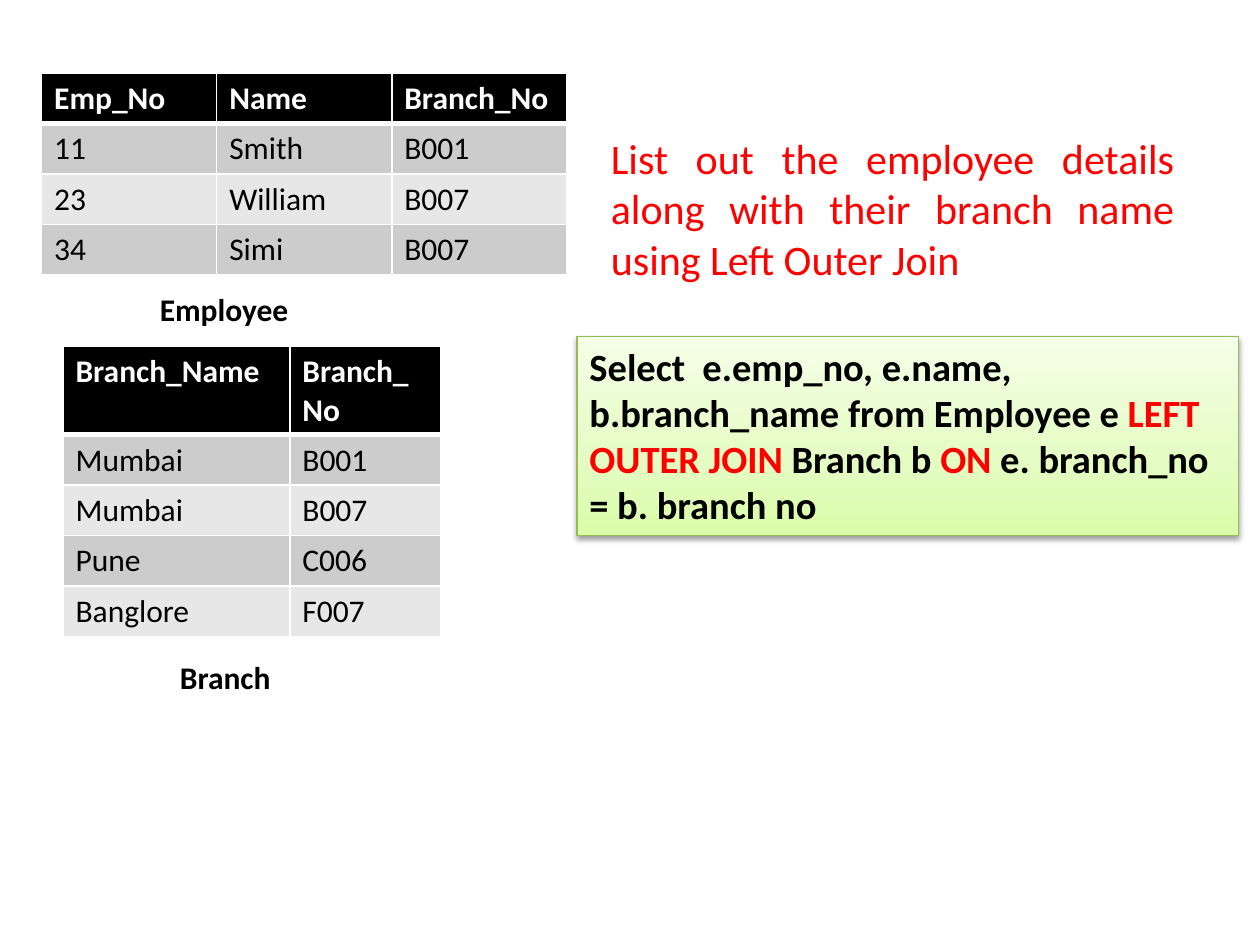
from lxml import etree
from copy import deepcopy
from pptx import Presentation
from pptx.dml.color import RGBColor
from pptx.enum import shapes, text
from pptx.oxml import ns
from pptx.util import Inches, Pt

BLACK = RGBColor(0, 0, 0)
WHITE = RGBColor(255, 255, 255)
RED = RGBColor(255, 0, 0)
BANDS = (RGBColor(0xCC, 0xCC, 0xCC), RGBColor(0xE7, 0xE7, 0xE7))
GREEN_LINE = RGBColor(0x98, 0xB9, 0x55)
GREEN_STOPS = [
    (0, RGBColor(0xDA, 0xFD, 0xA7)),
    (0.35, RGBColor(0xE4, 0xFC, 0xC2)),
    (1, RGBColor(0xF5, 0xFF, 0xE7)),
]
ROW_HEIGHT = 0.4

# Content
TABLES = [
    {"at": (0.33, 0.58), "columns": (1.39, 1.39, 1.39), "header_height": 0.4,
     "rows": [("Emp_No", "Name", "Branch_No"),
              ("11", "Smith", "B001"),
              ("23", "William", "B007"),
              ("34", "Simi", "B007")]},
    {"at": (0.5, 2.75), "columns": (1.8, 1.2), "header_height": 0.7,
     "rows": [("Branch_Name", "Branch_No"),
              ("Mumbai", "B001"),
              ("Mumbai", "B007"),
              ("Pune", "C006"),
              ("Banglore", "F007")]},
]
CAPTIONS = [
    ("Employee", (1.17, 2.25, 1.83, 0.4)),
    ("Branch", (1.33, 5.17, 1.83, 0.4)),
]
TASK = "List out the employee details along with their branch name using Left Outer Join"
QUERY = [
    ("Select  e.emp_no, e.name, b.branch_name from Employee e ", BLACK),
    ("LEFT OUTER JOIN", RED),
    (" Branch b ", BLACK),
    ("ON", RED),
    (" e. branch_no = b. branch no", BLACK),
]


def add_run(paragraph, words, color, size=18, bold=False):
    run = paragraph.add_run()
    run.text = words
    run.font.color.rgb = color
    font_format = {"name": "Calibri", "size": Pt(size), "bold": bold}
    for name, value in font_format.items():
        setattr(run.font, name, value)


def add_textbox(slide, box):
    frame = slide.shapes.add_textbox(*map(Inches, box)).text_frame
    frame.word_wrap = True
    return frame


def add_borders(cell, widths):
    properties = cell._tc.get_or_add_tcPr()
    for side, width in widths.items():
        line = etree.SubElement(properties, ns.qn(f"a:ln{side}"), w=str(Pt(width)))
        fill = etree.SubElement(line, ns.qn("a:solidFill"))
        etree.SubElement(fill, ns.qn("a:srgbClr"), val=str(WHITE))


def add_data_table(slide, at, columns, header_height, rows):
    heights = [header_height] + [ROW_HEIGHT] * (len(rows) - 1)
    box = (*at, sum(columns), sum(heights))
    table = slide.shapes.add_table(len(rows), len(columns), *map(Inches, box)).table
    for column, width in zip(table.columns, columns):
        column.width = Inches(width)
    for r, values in enumerate(rows):
        header = r == 0
        table.rows[r].height = Inches(heights[r])
        for c, value in enumerate(values):
            cell = table.cell(r, c)
            add_borders(cell, {"L": 1, "R": 1, "T": 3 if r == 1 else 1,
                               "B": 3 if header else 1})
            cell.fill.solid()
            cell.fill.fore_color.rgb = BLACK if header else BANDS[(r - 1) % 2]
            add_run(cell.text_frame.paragraphs[0], value,
                    WHITE if header else BLACK, bold=header)


def add_query_box(slide):
    shape = slide.shapes.add_shape(shapes.MSO_SHAPE.RECTANGLE,
                                   *map(Inches, (4.58, 2.67, 5.25, 1.58)))
    shape.line.color.rgb = GREEN_LINE
    shape.line.width = Pt(0.75)

    # Green gradient, darkest at the bottom
    shape.fill.gradient()
    shape.fill.gradient_angle = 90
    stop_list = shape._element.spPr.find(".//" + ns.qn("a:gsLst"))
    stop_list.append(deepcopy(stop_list[-1]))
    for stop, (position, color) in zip(shape.fill.gradient_stops, GREEN_STOPS):
        stop.position = position
        stop.color.rgb = color

    # Soft shadow below
    shape.shadow.inherit = False
    effects = shape._element.spPr.find(ns.qn("a:effectLst"))
    shadow = etree.SubElement(effects, ns.qn("a:outerShdw"), blurRad="40000",
                              dist="20000", dir="5400000", rotWithShape="0")
    color = etree.SubElement(shadow, ns.qn("a:srgbClr"), val=str(BLACK))
    etree.SubElement(color, ns.qn("a:alpha"), val="38000")

    frame = shape.text_frame
    frame.word_wrap = True
    frame.vertical_anchor = text.MSO_ANCHOR.TOP
    paragraph = frame.paragraphs[0]
    paragraph.alignment = text.PP_ALIGN.LEFT
    for words, color in QUERY:
        add_run(paragraph, words, color, size=22, bold=True)


def main():
    presentation = Presentation()
    presentation.slide_width = Inches(10)
    presentation.slide_height = Inches(7.5)
    slide = presentation.slides.add_slide(presentation.slide_layouts[6])

    # Task, resting on the bottom of its box
    task = add_textbox(slide, (4.75, 0.58, 4.67, 1.72))
    task.vertical_anchor = text.MSO_ANCHOR.BOTTOM
    task.paragraphs[0].alignment = text.PP_ALIGN.JUSTIFY
    add_run(task.paragraphs[0], TASK, RED, size=24)

    # Tables and their captions
    for table in TABLES:
        add_data_table(slide, **table)
    for caption, box in CAPTIONS:
        add_run(add_textbox(slide, box).paragraphs[0], caption, BLACK, bold=True)

    add_query_box(slide)
    presentation.save("out.pptx")


if __name__ == "__main__":
    main()
